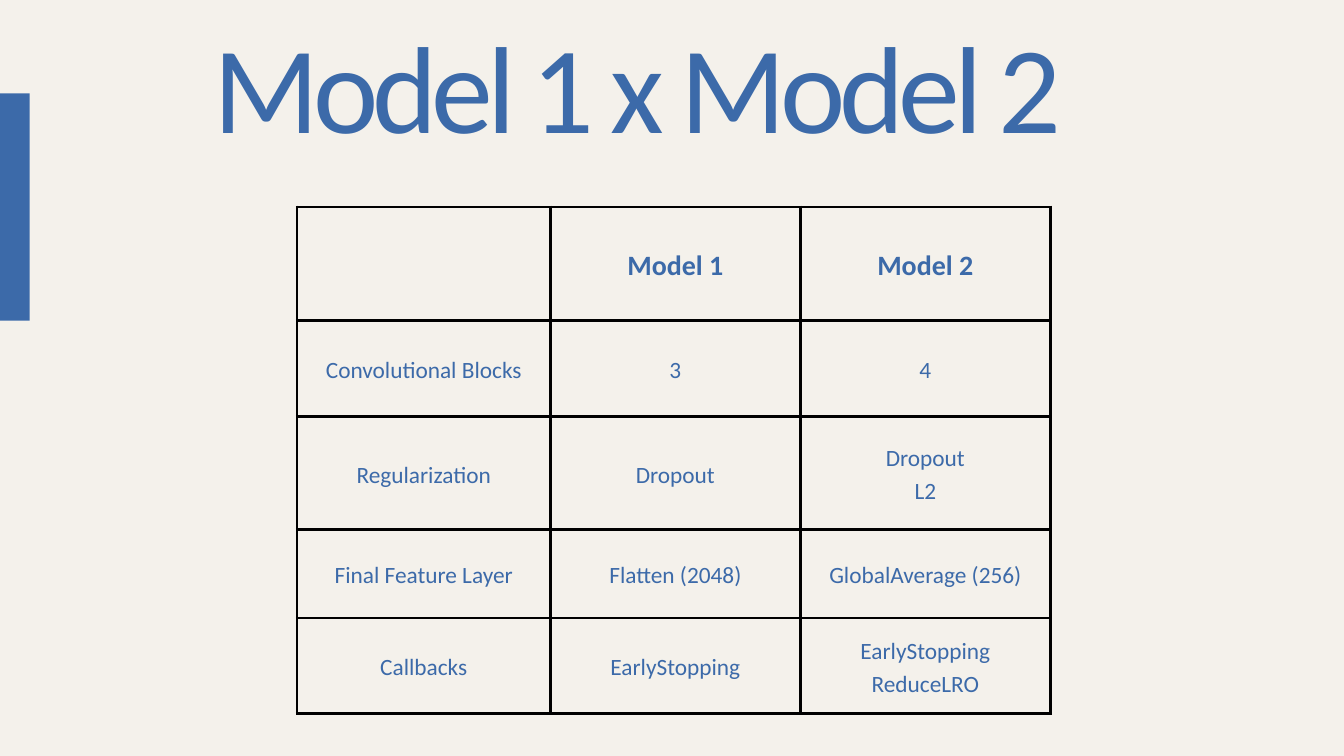
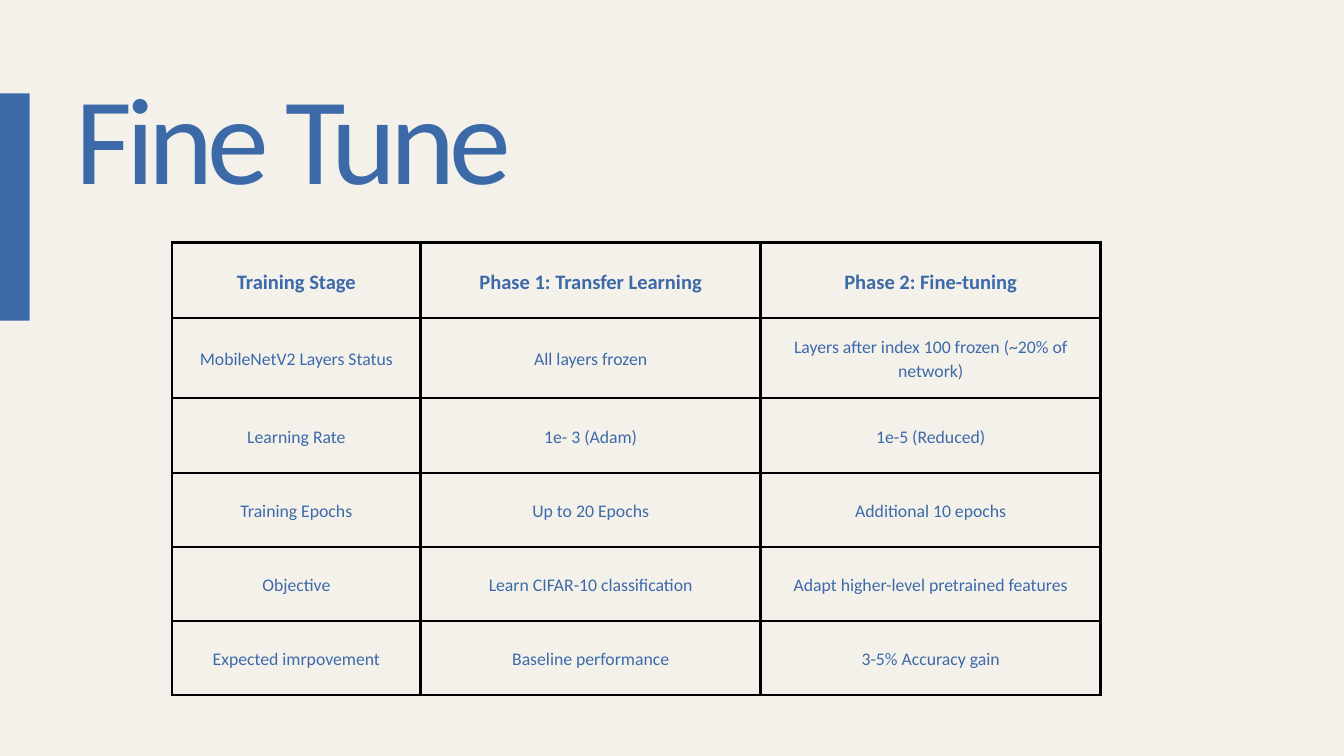
from lxml import etree
from pptx import Presentation
from pptx.dml.color import RGBColor
from pptx.enum.shapes import MSO_SHAPE
from pptx.enum.text import MSO_ANCHOR, MSO_AUTO_SIZE, PP_ALIGN
from pptx.oxml.ns import qn
from pptx.util import Inches, Pt

# Shared look
CREAM, BLUE, BLACK = "F4F1EB", "3C6AA9", "000000"
FONT = "Calibri"
TITLE_SIZE, TITLE_LEADING, TITLE_TRACKING = 132.6, 118, -6.4
CELL_LEADING = 1.4
CELL_INSET = 0.21
BORDER_WIDTH = 3
ACCENT_BAR = (0, 1.39, 0.44, 3.38)
TITLE_ONLY = 5
MARGINS = ("margin_left", "margin_top", "margin_right", "margin_bottom")
RECTANGLE = MSO_SHAPE.RECTANGLE
TOP, MIDDLE = MSO_ANCHOR.TOP, MSO_ANCHOR.MIDDLE
LEFT, CENTER = PP_ALIGN.LEFT, PP_ALIGN.CENTER
NO_AUTOFIT = MSO_AUTO_SIZE.NONE

# Each slide: title box, table origin, column widths, row heights, text sizes, rows
SLIDES = [
    {
        "title": "Model 1 x Model 2",
        "title_box": (3.18, 0.71, 13.63, 1.79),
        "table_origin": (4.42, 3.08),
        "columns": [3.77, 3.72, 3.72],
        "heights": [1.69, 1.43, 1.68, 1.32, 1.42],
        "header_size": 30,
        "body_size": 25,
        "rows": [
            ("", "Model 1", "Model 2"),
            ("Convolutional Blocks", "3", "4"),
            ("Regularization", "Dropout", "Dropout\nL2"),
            ("Final Feature Layer", "Flatten (2048)", "GlobalAverage (256)"),
            ("Callbacks", "EarlyStopping", "EarlyStopping\nReduceLRO"),
        ],
    },
    {
        "title": "Fine Tune",
        "title_box": (1.12, 1.47, 8.33, 1.79),
        "table_origin": (2.56, 3.61),
        "columns": [3.7, 5.06, 5.06],
        "heights": [1.12, 1.19, 1.12, 1.1, 1.1, 1.1],
        "header_size": 22,
        "body_size": 19,
        "rows": [
            ("Training Stage", "Phase 1: Transfer Learning", "Phase 2: Fine-tuning"),
            ("MobileNetV2 Layers Status", "All layers frozen",
             "Layers after index 100 frozen (~20% of network)"),
            ("Learning Rate", "1e- 3 (Adam)", "1e-5 (Reduced)"),
            ("Training Epochs", "Up to 20 Epochs", "Additional 10 epochs"),
            ("Objective", "Learn CIFAR-10 classification",
             "Adapt higher-level pretrained features"),
            ("Expected imrpovement", "Baseline performance", "3-5% Accuracy gain"),
        ],
    },
]


def color(hex_value):
    return RGBColor.from_string(hex_value)


def set_all(target, values):
    for name, value in values.items():
        setattr(target, name, value)


def format_paragraph(paragraph, size, leading, alignment, bold=False):
    set_all(paragraph, {"alignment": alignment, "line_spacing": Pt(leading)})
    for run in paragraph.runs:
        set_all(run.font, {"name": FONT, "size": Pt(size), "bold": bold})
        run.font.color.rgb = color(BLUE)


def add_background(slide):
    fill = slide.background.fill
    fill.solid()
    fill.fore_color.rgb = color(CREAM)


def add_accent_bar(slide, box):
    bar = slide.shapes.add_shape(RECTANGLE, *map(Inches, box))
    bar.shadow.inherit = False
    bar.fill.solid()
    bar.fill.fore_color.rgb = color(BLUE)
    bar.line.fill.background()


def add_title(slide, text, box):
    title = slide.shapes.title
    set_all(title, dict(zip(("left", "top", "width", "height"), map(Inches, box))))
    frame = title.text_frame
    frame.text = text
    set_all(frame, {"word_wrap": True, "auto_size": NO_AUTOFIT, "vertical_anchor": TOP})
    set_all(frame, dict.fromkeys(MARGINS, 0))
    paragraph = frame.paragraphs[0]
    format_paragraph(paragraph, TITLE_SIZE, TITLE_LEADING, LEFT)
    # Letter spacing is stored in hundredths of a point
    run_properties = paragraph.runs[0].font._element
    run_properties.set("spc", str(round(TITLE_TRACKING * 100)))


def add_borders(cell):
    properties = cell._tc.get_or_add_tcPr()
    for side in ("a:lnL", "a:lnR", "a:lnT", "a:lnB"):
        line = etree.SubElement(properties, qn(side), w=str(Pt(BORDER_WIDTH)))
        fill = etree.SubElement(line, qn("a:solidFill"))
        etree.SubElement(fill, qn("a:srgbClr"), val=BLACK)


def fill_cell(cell, text, size, bold):
    cell.text = text
    cell.vertical_anchor = MIDDLE
    set_all(cell, dict.fromkeys(MARGINS, Inches(CELL_INSET)))
    add_borders(cell)
    cell.fill.background()
    for paragraph in cell.text_frame.paragraphs:
        format_paragraph(paragraph, size, size * CELL_LEADING, CENTER, bold)


def add_comparison_table(slide, content):
    columns, heights, rows = content["columns"], content["heights"], content["rows"]
    left, top = content["table_origin"]
    box = map(Inches, (left, top, sum(columns), sum(heights)))
    table = slide.shapes.add_table(len(rows), len(columns), *box).table
    set_all(table, {"first_row": False, "horz_banding": False})
    for column, width in zip(table.columns, columns):
        column.width = Inches(width)
    for row_index, (row, height) in enumerate(zip(table.rows, heights)):
        row.height = Inches(height)
        is_header = row_index == 0
        size = content["header_size" if is_header else "body_size"]
        for cell, text in zip(row.cells, rows[row_index]):
            fill_cell(cell, text, size, is_header)


def add_comparison_slide(presentation, content):
    slide = presentation.slides.add_slide(presentation.slide_layouts[TITLE_ONLY])
    add_background(slide)
    add_accent_bar(slide, ACCENT_BAR)
    add_comparison_table(slide, content)
    add_title(slide, content["title"], content["title_box"])


def main():
    presentation = Presentation()
    set_all(presentation, {"slide_width": Inches(20), "slide_height": Inches(11.25)})
    for content in SLIDES:
        add_comparison_slide(presentation, content)
    presentation.save("out.pptx")


if __name__ == "__main__":
    main()
